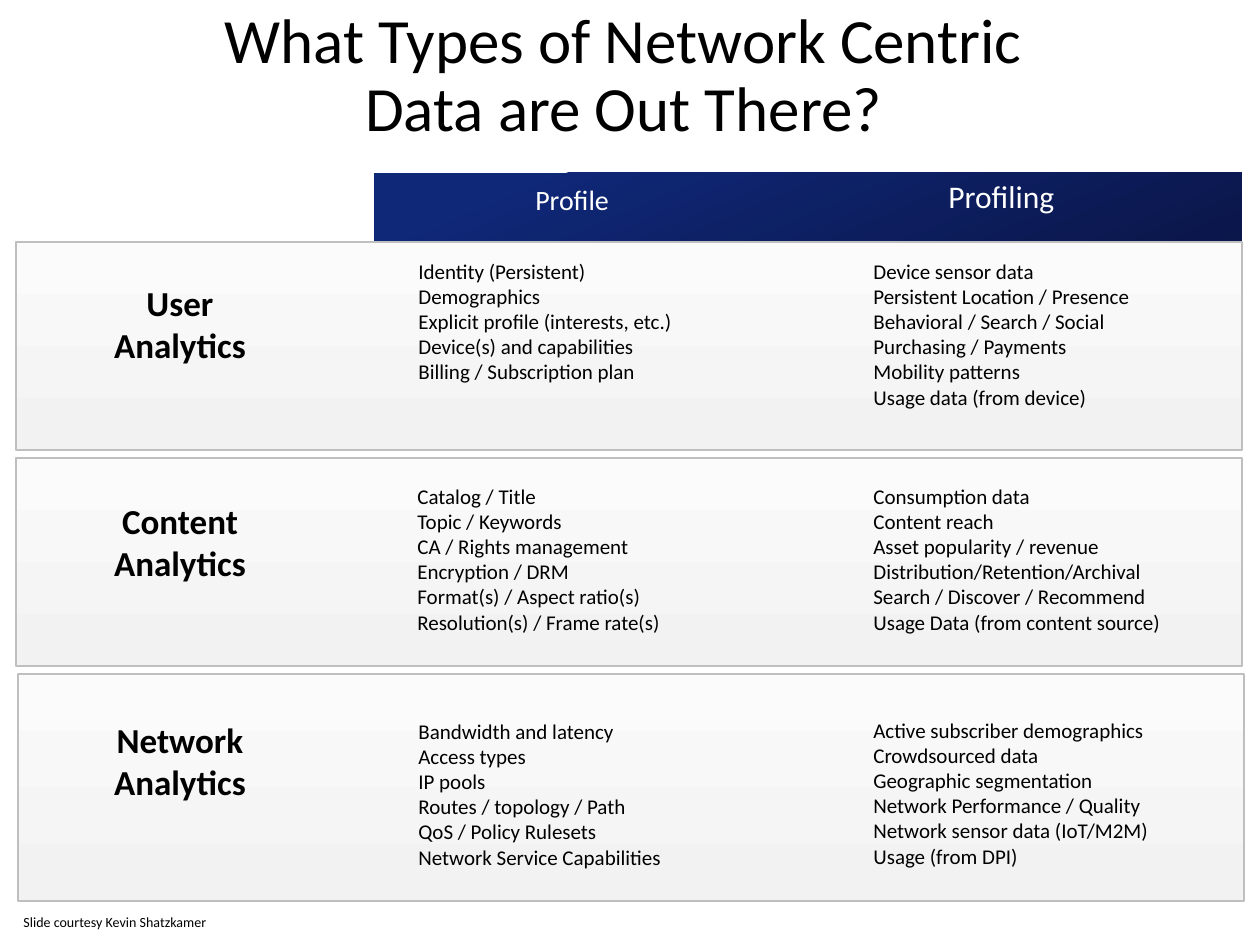
from dataclasses import dataclass

from pptx import Presentation
from pptx import util as u
from pptx.dml.color import RGBColor
from pptx.enum import shapes, text

EMU_PER_PX = 914400 / 126


def px(length):
    return u.Emu(round(length * EMU_PER_PX))


@dataclass(frozen=True)
class Theme:
    font: str = "Calibri"
    ink: str = "000000"
    paper: str = "FFFFFF"
    border: str = "BFBFBF"
    header_stops: tuple = ((0.15, "0F2878"), (1, "0B164A"))
    band_stops: tuple = ((0, "F2F2F2"), (1, "FBFBFB"))
    title_size: int = 36
    label_size: int = 20
    profiling_size: int = 18
    profile_size: int = 16
    list_size: int = 12
    credit_size: int = 8


class SlideBuilder:
    def __init__(self, slide, theme):
        self.slide = slide
        self.theme = theme

    def format_text(self, frame, size, color, bold=False, align=text.PP_ALIGN.LEFT):
        for paragraph in frame.paragraphs:
            paragraph.alignment = align
            for run in paragraph.runs:
                run.font.name = self.theme.font
                run.font.size = u.Pt(size)
                run.font.bold = bold
                run.font.color.rgb = RGBColor.from_string(color)

    def title(self, left, top, width, height, wording):
        shape = self.slide.shapes.title
        shape.left, shape.top = px(left), px(top)
        shape.width, shape.height = px(width), px(height)
        frame = shape.text_frame
        frame.text = wording
        frame.auto_size = text.MSO_AUTO_SIZE.NONE
        frame.vertical_anchor = text.MSO_ANCHOR.MIDDLE
        frame.paragraphs[0].line_spacing = 0.9
        self.format_text(frame, self.theme.title_size, self.theme.ink,
                         align=text.PP_ALIGN.CENTER)

    def gradient_box(self, left, top, width, height, stops, angle, border=None):
        shape = self.slide.shapes.add_shape(
            shapes.MSO_SHAPE.RECTANGLE, px(left), px(top), px(width), px(height))
        shape.shadow.inherit = False
        shape.fill.gradient()
        shape.fill.gradient_angle = angle
        for stop, (position, color) in zip(shape.fill.gradient_stops, stops):
            stop.position = position
            stop.color.rgb = RGBColor.from_string(color)
        if border:
            shape.line.color.rgb = RGBColor.from_string(border)
            shape.line.width = u.Pt(0.75)
        else:
            shape.line.fill.background()

    def text_box(self, left, top, width, height, lines, size, color=None, **style):
        shape = self.slide.shapes.add_textbox(px(left), px(top), px(width), px(height))
        frame = shape.text_frame
        frame.text = "\n".join(lines)
        frame.word_wrap = False
        frame.auto_size = text.MSO_AUTO_SIZE.SHAPE_TO_FIT_TEXT
        self.format_text(frame, size, color or self.theme.ink, **style)


@dataclass(frozen=True)
class Band:
    name: str
    box: tuple
    label_top: int
    profile: tuple
    profile_box: tuple
    profiling: tuple
    profiling_box: tuple


BANDS = (
    Band(
        "User", (16, 242, 1226, 208), 275,
        ("Identity (Persistent)", "Demographics", "Explicit profile (interests, etc.)",
         "Device(s) and capabilities", "Billing / Subscription plan"),
        (406, 252, 283, 140),
        ("Device sensor data", "Persistent Location / Presence",
         "Behavioral / Search / Social", "Purchasing / Payments",
         "Mobility patterns", "Usage data (from device)"),
        (861, 252, 286, 165),
    ),
    Band(
        "Content", (16, 458, 1226, 208), 493,
        ("Catalog / Title", "Topic / Keywords", "CA / Rights management",
         "Encryption / DRM", "Format(s) / Aspect ratio(s)",
         "Resolution(s) / Frame rate(s)"),
        (405, 477, 272, 165),
        ("Consumption data", "Content reach", "Asset popularity / revenue",
         "Distribution/Retention/Archival", "Search / Discover / Recommend",
         "Usage Data (from content source)"),
        (861, 477, 317, 165),
    ),
    Band(
        "Network", (18, 674, 1226, 227), 712,
        ("Bandwidth and latency", "Access types", "IP pools",
         "Routes / topology / Path", "QoS / Policy Rulesets",
         "Network Service Capabilities"),
        (406, 712, 271, 165),
        ("Active subscriber demographics", "Crowdsourced data",
         "Geographic segmentation", "Network Performance / Quality",
         "Network sensor data (IoT/M2M)", "Usage (from DPI)"),
        (861, 711, 305, 165),
    ),
)


def main():
    theme = Theme()
    presentation = Presentation()
    presentation.slide_width, presentation.slide_height = px(1260), px(945)
    slide = presentation.slides.add_slide(presentation.slide_layouts[5])
    builder = SlideBuilder(slide, theme)

    builder.title(32, 19, 1183, 116, "What Types of Network Centric\vData are Out There?")
    builder.gradient_box(374, 173, 868, 68, theme.header_stops, 293)
    builder.text_box(523, 176, 101, 47, ["Profile"], theme.profile_size, theme.paper)
    builder.text_box(936, 171, 132, 50, ["Profiling"], theme.profiling_size, theme.paper)

    for band in BANDS:
        builder.gradient_box(*band.box, theme.band_stops, 90, theme.border)
        builder.text_box(100, band.label_top, 160, 97, [band.name, "Analytics"],
                         theme.label_size, bold=True, align=text.PP_ALIGN.CENTER)
        builder.text_box(*band.profile_box, band.profile, theme.list_size)
        builder.text_box(*band.profiling_box, band.profiling, theme.list_size)

    builder.text_box(11, 907, 210, 30, ["Slide courtesy Kevin Shatzkamer"],
                     theme.credit_size)
    presentation.save("out.pptx")


if __name__ == "__main__":
    main()
